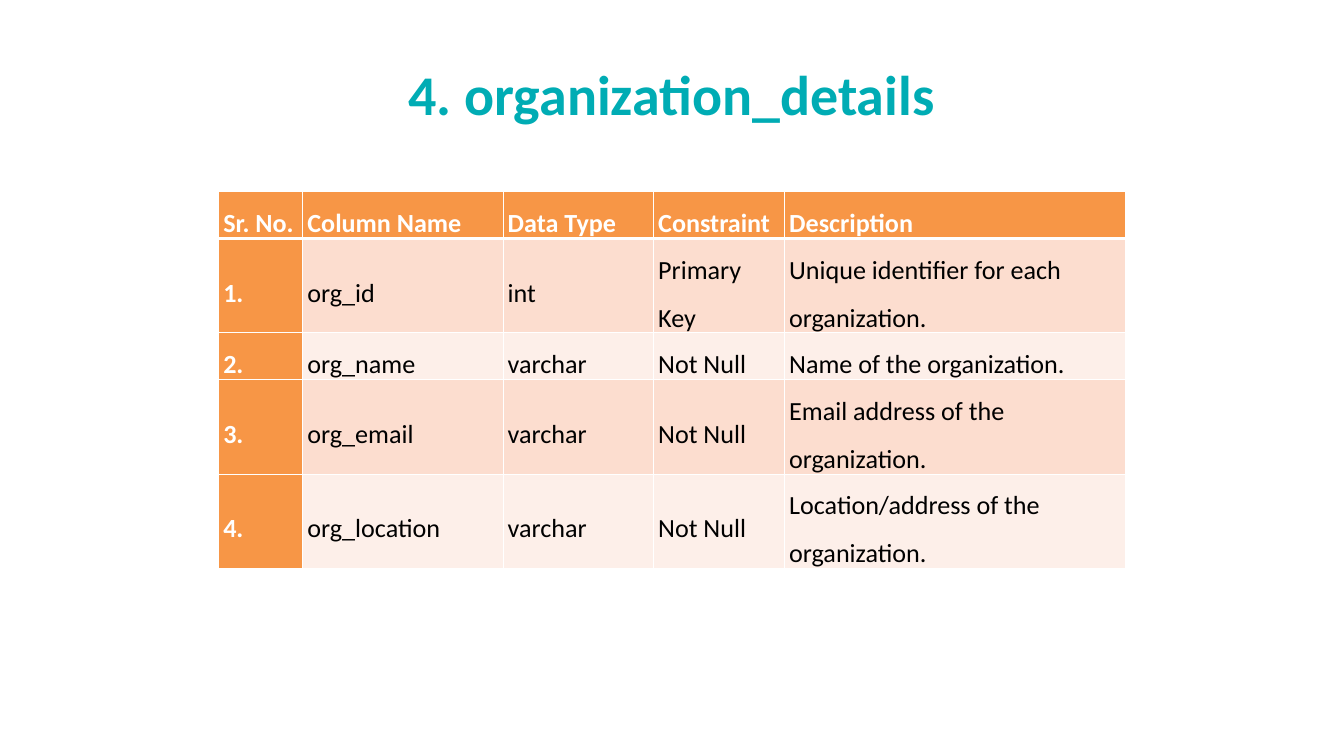
from lxml import etree
from pptx import Presentation
from pptx.dml.color import RGBColor
from pptx.enum.text import MSO_ANCHOR, MSO_AUTO_SIZE, PP_ALIGN
from pptx.oxml.ns import qn
from pptx.util import Cm, Pt

TOP, MIDDLE = MSO_ANCHOR.TOP, MSO_ANCHOR.MIDDLE
GROW = MSO_AUTO_SIZE.SHAPE_TO_FIT_TEXT
CENTER = PP_ALIGN.CENTER

TEAL = RGBColor(0x00, 0xAC, 0xB4)
ORANGE = RGBColor(0xF7, 0x96, 0x46)
PEACH = RGBColor(0xFC, 0xDD, 0xCF)
PALE = RGBColor(0xFD, 0xEF, 0xE9)
WHITE = RGBColor(0xFF, 0xFF, 0xFF)
BLACK = RGBColor(0x00, 0x00, 0x00)

WIDTHS = [3.18, 7.57, 5.69, 4.95, 12.9]
HEIGHTS = [1.75, 2.51, 1.24, 2.51, 2.51]
ROWS = [
    ["Sr. No.", "Column Name", "Data Type", "Constraint", "Description"],
    ["1.", "org_id", "int", "Primary Key",
     "Unique identifier for each organization."],
    ["2.", "org_name", "varchar", "Not Null", "Name of the organization."],
    ["3.", "org_email", "varchar", "Not Null",
     "Email address of the organization."],
    ["4.", "org_location", "varchar", "Not Null",
     "Location/address of the organization."],
]


def style(item, values):
    for name, value in values.items():
        setattr(item, name, value)


def border(cell, sides):
    props = cell._tc.get_or_add_tcPr()
    for spot, (side, width) in enumerate(sides.items()):
        line = etree.Element(qn("a:ln" + side), w=str(Pt(width)))
        fill = etree.SubElement(line, qn("a:solidFill"))
        etree.SubElement(fill, qn("a:srgbClr"), val=str(WHITE))
        props.insert(spot, line)


deck = Presentation()
style(deck, {"slide_width": Cm(50.8), "slide_height": Cm(28.58)})
slide = deck.slides.add_slide(deck.slide_layouts[5])

# Title
title = slide.shapes.title
style(title, {"left": Cm(14.17), "top": Cm(2.24),
              "width": Cm(22.43), "height": Cm(3.38)})
frame = title.text_frame
frame.text = "4. organization_details"
style(frame, {"margin_left": 0, "margin_top": 0, "margin_right": 0,
              "margin_bottom": 0, "vertical_anchor": TOP,
              "word_wrap": True, "auto_size": GROW})
para = frame.paragraphs[0]
para.alignment = CENTER
font = para.runs[0].font
style(font, {"name": "Calibri", "size": Pt(60), "bold": True})
font.color.rgb = TEAL

# Table grid
holder = slide.shapes.add_table(len(ROWS), len(WIDTHS), Cm(8.26), Cm(7.24),
                                Cm(34.29), Cm(13.44))
table = holder.table
style(table, {"first_row": True, "first_col": True, "horz_banding": False})
for column, width in zip(table.columns, WIDTHS):
    column.width = Cm(width)
for row, height in zip(table.rows, HEIGHTS):
    row.height = Cm(height)

# Table cells: orange head row and first column, banded body
for r, texts in enumerate(ROWS):
    for c, text in enumerate(texts):
        head = r == 0 or c == 0
        cell = table.cell(r, c)
        cell.text = text
        style(cell, {"margin_left": Cm(0.18), "margin_right": Cm(0.18),
                     "margin_top": 0, "margin_bottom": 0,
                     "vertical_anchor": MIDDLE})
        cell.fill.solid()
        cell.fill.fore_color.rgb = ORANGE if head else PEACH if r % 2 else PALE
        border(cell, {"L": 1, "R": 1, "T": 3 if r == 1 else 1,
                      "B": 3 if r == 0 else 1})
        para = cell.text_frame.paragraphs[0]
        para.line_spacing = 1.5
        font = para.runs[0].font
        style(font, {"name": "Calibri", "size": Pt(28), "bold": head})
        font.color.rgb = WHITE if head else BLACK

deck.save("out.pptx")
